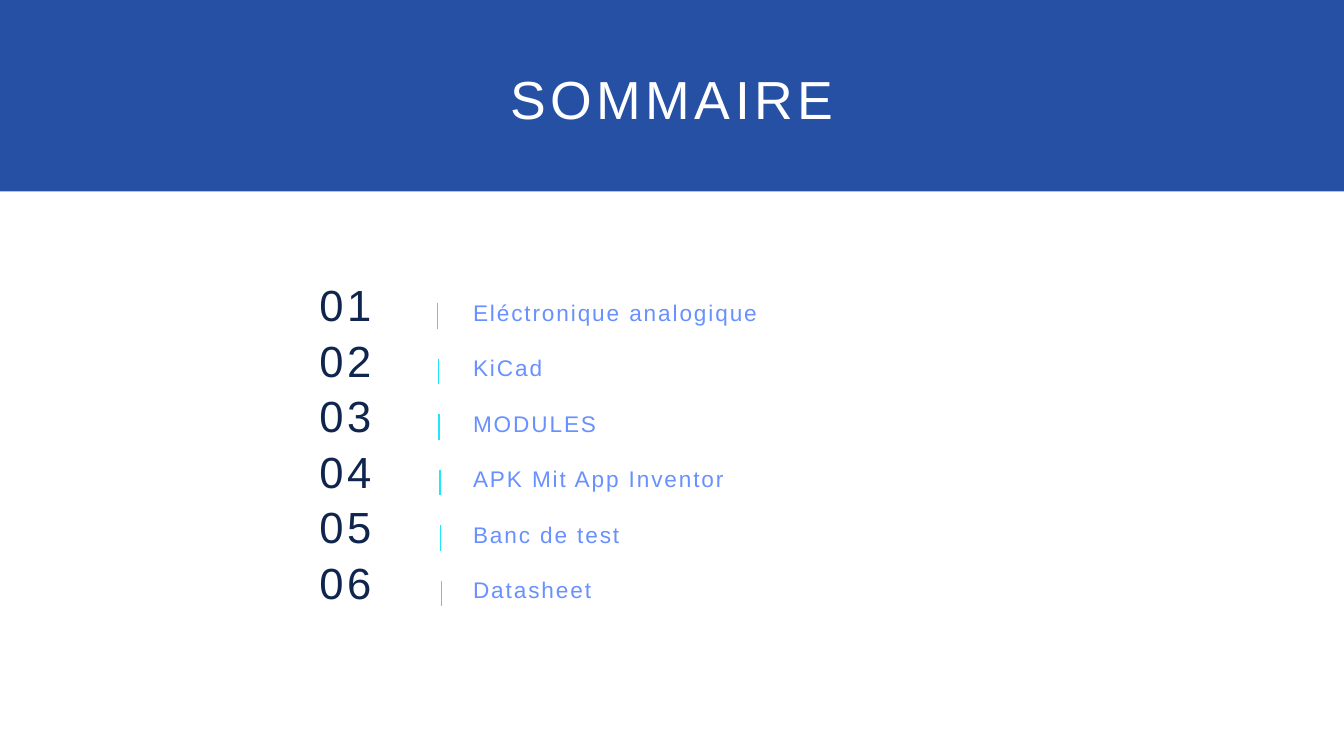
import pptx
import pptx.util
import pptx.dml.color
import pptx.enum.shapes
import pptx.enum.text
import pptx.oxml.ns
import lxml.etree

Cm, Pt = pptx.util.Cm, pptx.util.Pt
Align = pptx.enum.text.PP_ALIGN

# Content
title = "SOMMAIRE"
items = [
    "Eléctronique analogique",
    "KiCad",
    "MODULES",
    "APK Mit App Inventor",
    "Banc de test",
    "Datasheet",
]

# Colours and type: size, line height and letter spacing in points
theme = {
    "page": "FFFFFF",
    "band": "2550A4",
    "rule": "20E5F6",
    "font": "Arial",
    "title": {"size": 57.4, "lead": 54.5, "track": 4.9, "ink": "FFFFFF"},
    "number": {"size": 46.7, "lead": 44.4, "track": 4, "ink": "10254E"},
    "label": {"size": 24.2, "lead": 27.9, "track": 2, "ink": "6890FF"},
}

# Places in centimetres
wide, high = 50.8, 28.58
step = 2.1      # from one row to the next
drift = 0.03    # each rule stands a little further right
tops = {"number": 10.92, "label": 11.33, "rule": 11.46}


def color(code):
    return pptx.dml.color.RGBColor.from_string(code)


def apply(target, values):
    for name, value in values.items():
        setattr(target, name, value)


def write(slide, text, style, place, align=Align.LEFT):
    look = theme[style]
    frame = slide.shapes.add_textbox(*map(Cm, place)).text_frame
    apply(frame, {
        "margin_left": 0, "margin_top": 0, "margin_right": 0, "margin_bottom": 0,
        "word_wrap": True,
        "auto_size": pptx.enum.text.MSO_AUTO_SIZE.SHAPE_TO_FIT_TEXT,
    })
    para = frame.paragraphs[0]
    apply(para, {"alignment": align, "line_spacing": Pt(look["lead"])})
    run = para.add_run()
    run.text = text
    apply(run.font, {"name": theme["font"], "size": Pt(look["size"])})
    run.font.color.rgb = color(look["ink"])
    run._r.get_or_add_rPr().set("spc", str(round(look["track"] * 100)))


def rule(slide, left, top, size):
    line = slide.shapes.add_connector(
        pptx.enum.shapes.MSO_CONNECTOR.STRAIGHT,
        Cm(left), Cm(top), Cm(left), Cm(top + size))
    line.line.color.rgb = color(theme["rule"])
    line.line.width = Pt(1.5)
    lxml.etree.SubElement(line._element.spPr, pptx.oxml.ns.qn("a:effectLst"))


def main():
    deck = pptx.Presentation()
    apply(deck, {"slide_width": Cm(wide), "slide_height": Cm(high)})
    slide = deck.slides.add_slide(deck.slide_layouts[6])
    slide.background.fill.solid()
    slide.background.fill.fore_color.rgb = color(theme["page"])

    # Title band
    band = slide.shapes.add_shape(
        pptx.enum.shapes.MSO_SHAPE.RECTANGLE, 0, 0, Cm(wide), Cm(7.24))
    band.shadow.inherit = False
    band.fill.solid()
    band.fill.fore_color.rgb = color(theme["band"])
    band.line.fill.background()
    write(slide, title, "title", (0, 3, wide, 2.46), Align.CENTER)

    # Rows: number, rule, label
    for row, item in enumerate(items):
        down = row * step
        write(slide, f"{row + 1:02}", "number",
              (12.07, tops["number"] + down, 4.34, 2.01))
        rule(slide, 16.54 + row * drift, tops["rule"] + down, 0.96)
        write(slide, item, "label",
              (17.88, tops["label"] + down, 23.7, 1.14))

    deck.save("out.pptx")


if __name__ == "__main__":
    main()
